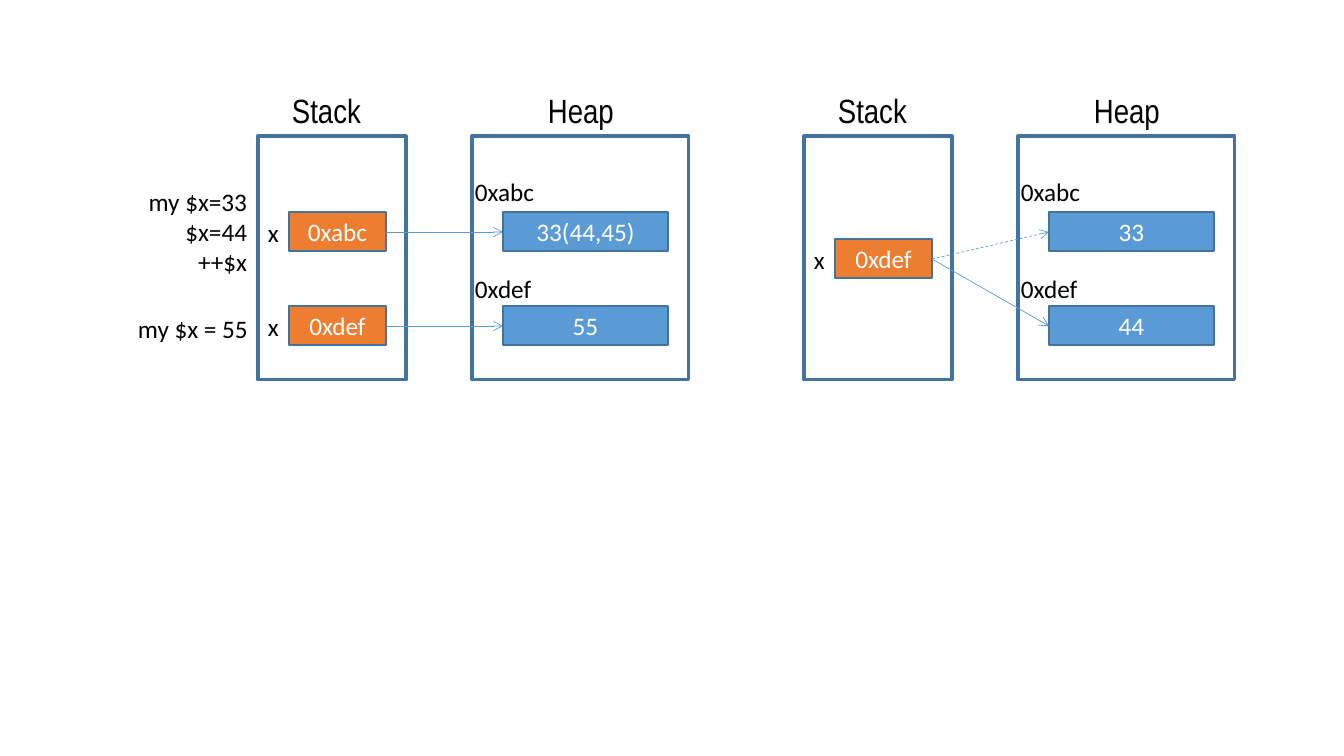
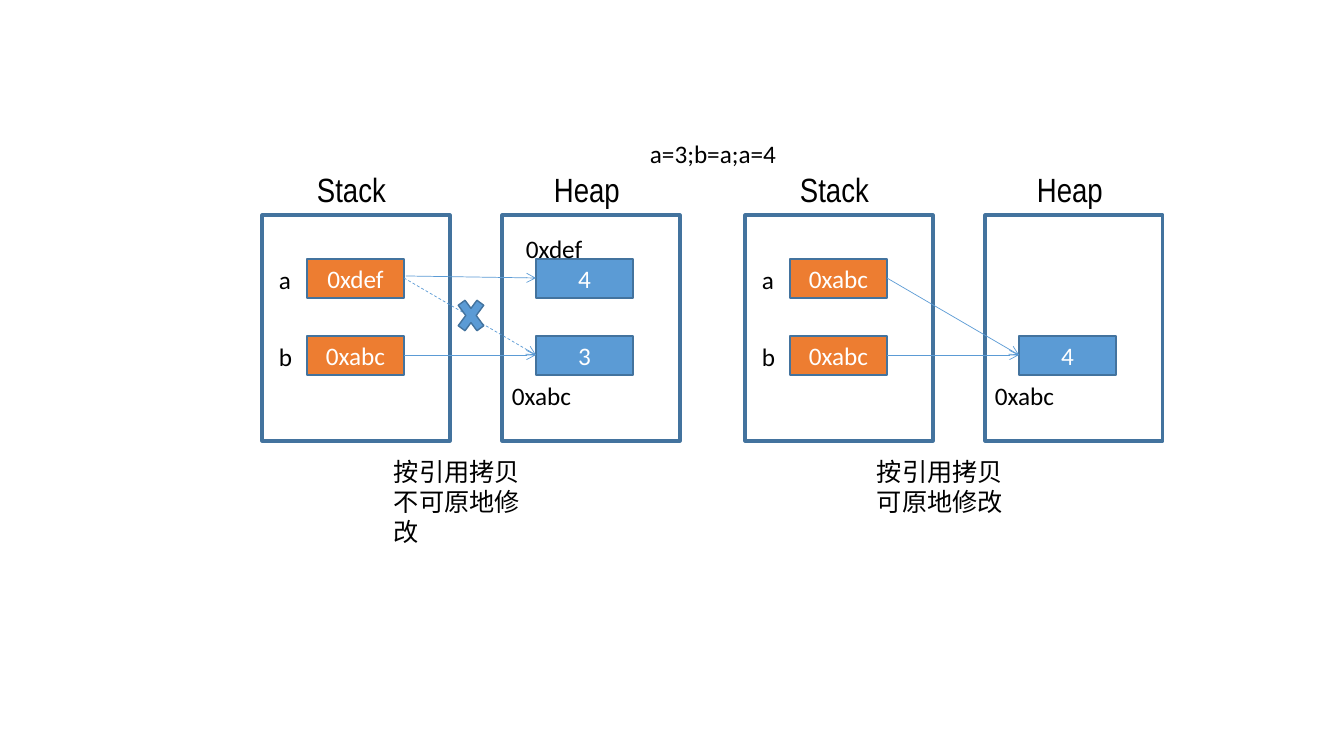
from pptx import Presentation
from pptx.dml.color import RGBColor
from pptx.enum.dml import MSO_LINE
from pptx.enum.shapes import MSO_CONNECTOR, MSO_SHAPE
from pptx.enum.text import MSO_ANCHOR, MSO_AUTO_SIZE, PP_ALIGN
from pptx.oxml.ns import qn
from pptx.util import Pt
from lxml.etree import SubElement

SCALE = 12192000 / 1344


def px(n):
    return round(n * SCALE)


def rgb(code):
    return RGBColor.from_string(code)


def assign(target, values):
    for name, value in values.items():
        setattr(target, name, value)


class Diagram:
    ORANGE, BLUE, EDGE = "ED7D31", "5B9BD5", "43739E"
    BLACK, WHITE = "000000", "FFFFFF"
    BODY = {"name": "Calibri", "size": Pt(18)}
    HEADING = {"name": "Arial Narrow", "size": Pt(24)}
    CELL_H = 39

    def __init__(self, prs):
        self.prs = prs
        self.s = None

    def new_slide(self):
        self.s = self.prs.slides.add_slide(self.prs.slide_layouts[6])

    def fill_text(self, tf, lines, font, color, align):
        for i, line in enumerate(lines.split("\n")):
            p = tf.paragraphs[0] if i == 0 else tf.add_paragraph()
            p.alignment = align
            r = p.add_run()
            r.text = line
            assign(r.font, font)
            r.font.color.rgb = rgb(color)

    def text(self, x, y, w, h, lines, font=BODY, align=PP_ALIGN.LEFT, wrap=False):
        sp = self.s.shapes.add_textbox(px(x), px(y), px(w), px(h))
        tf = sp.text_frame
        assign(tf, {"word_wrap": wrap, "auto_size": MSO_AUTO_SIZE.SHAPE_TO_FIT_TEXT})
        self.fill_text(tf, lines, font, self.BLACK, align)

    def label(self, x, y, w, line):
        self.text(x, y, w, 40, line)

    def shape(self, kind, x, y, w, h, fill=None, weight=1):
        sp = self.s.shapes.add_shape(kind, px(x), px(y), px(w), px(h))
        sp.shadow.inherit = False
        if fill:
            sp.fill.solid()
            sp.fill.fore_color.rgb = rgb(fill)
        else:
            sp.fill.background()
        sp.line.color.rgb = rgb(self.EDGE)
        sp.line.width = Pt(weight)
        return sp

    def memory(self, name, x, y, w, h, name_x, name_w):
        self.shape(MSO_SHAPE.RECTANGLE, x, y, w, h, weight=2.25)
        self.text(name_x, y - 51, name_w, 50, name, self.HEADING)

    def cell(self, x, y, w, value, fill):
        sp = self.shape(MSO_SHAPE.RECTANGLE, x, y, w, self.CELL_H, fill)
        sp.text_frame.vertical_anchor = MSO_ANCHOR.MIDDLE
        self.fill_text(sp.text_frame, value, self.BODY, self.WHITE, PP_ALIGN.CENTER)

    def variable(self, x, y, value):
        self.cell(x, y, 97, value, self.ORANGE)

    def arrow(self, x1, y1, x2, y2, dashed=False):
        c = self.s.shapes.add_connector(MSO_CONNECTOR.STRAIGHT, px(x1), px(y1), px(x2), px(y2))
        c.line.color.rgb = rgb(self.BLUE)
        c.line.width = Pt(0.5)
        if dashed:
            c.line.dash_style = MSO_LINE.DASH
        sp_pr = c._element.spPr
        SubElement(sp_pr.find(qn("a:ln")), qn("a:tailEnd"), type="arrow")
        SubElement(sp_pr, qn("a:effectLst"))


def perl_panel(d, dx, variables, values, links):
    d.memory("Stack", 258 + dx, 136, 148, 244, 282 + dx, 96)
    d.memory("Heap", 472 + dx, 136, 217, 244, 538 + dx, 89)
    for y, value in variables:
        d.variable(289 + dx, y, value)
        d.label(258 + dx, y, 31, "x")
    for y, label_y, w, address, value in values:
        d.cell(503 + dx, y, 165, value, d.BLUE)
        d.label(465 + dx, label_y, w, address)
    for start, end, dashed in links:
        d.arrow(386 + dx, start + 20, 503 + dx, end + 20, dashed)


def copy_panel(d, dx, addresses, values, links, caption, caption_w):
    d.memory("Stack", 262 + dx, 215, 188, 226, 307 + dx, 96)
    d.memory("Heap", 502 + dx, 215, 178, 226, 544 + dx, 89)
    for name, y, address in zip("ab", COPY_ROWS, addresses):
        d.variable(307 + dx, y, address)
        d.label(269 + dx, y, 32, name)
    for y, value in values:
        d.cell(536 + dx, y, 97, value, d.BLUE)
    for start, end, dashed in links:
        d.arrow(404 + dx, start + 19, 536 + dx, end + 19, dashed)
    d.label(502 + dx, 375, 80, "0xabc")
    d.text(384 + dx, 451, caption_w, 72, caption)


prs = Presentation()
assign(prs, {"slide_width": px(1344), "slide_height": px(756)})
d = Diagram(prs)

TOP, MIDDLE, BOTTOM = 212, 239, 306
d.new_slide()
for dx, variables, contents, links in (
    (0, [(TOP, "0xabc"), (BOTTOM, "0xdef")], ("33(44,45)", "55"),
     [(TOP, TOP, False), (BOTTOM, BOTTOM, False)]),
    (546, [(MIDDLE, "0xdef")], ("33", "44"),
     [(MIDDLE, TOP, True), (MIDDLE, BOTTOM, False)]),
):
    values = [(TOP, 171, 80, "0xabc", contents[0]), (BOTTOM, 268, 77, "0xdef", contents[1])]
    perl_panel(d, dx, variables, values, links)
d.text(130, 181, 127, 102, "my $x=33\n$x=44\n++$x", align=PP_ALIGN.RIGHT, wrap=True)
d.label(128, 308, 130, "my $x = 55")

COPY_ROWS = ROW_A, ROW_B = 259, 336
d.new_slide()
copy_panel(d, 0, ("0xdef", "0xabc"), [(ROW_A, "4"), (ROW_B, "3")],
           [(ROW_A, ROW_B, True), (ROW_B, ROW_B, False)], "按引用拷贝\n不可原地修改", 171)
d.label(516, 228, 77, "0xdef")
d.arrow(406, 276, 536, 278)
d.shape(MSO_SHAPE.MATH_MULTIPLY, 453, 291, 36, 49, d.BLUE)
copy_panel(d, 483, ("0xabc", "0xabc"), [(ROW_B, "4")],
           [(ROW_A, ROW_B, False), (ROW_B, ROW_B, False)], "按引用拷贝\n可原地修改", 146)
d.label(640, 133, 146, "a=3;b=a;a=4")

prs.save("out.pptx")
